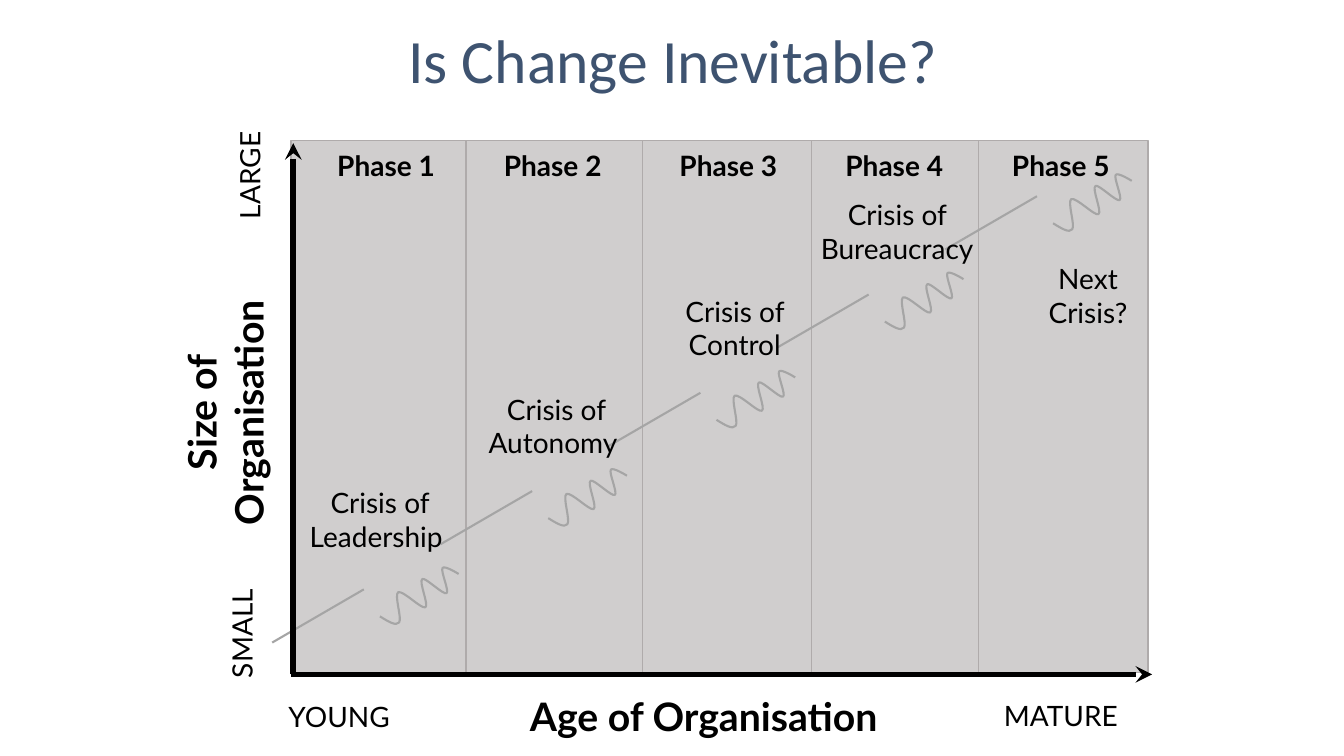
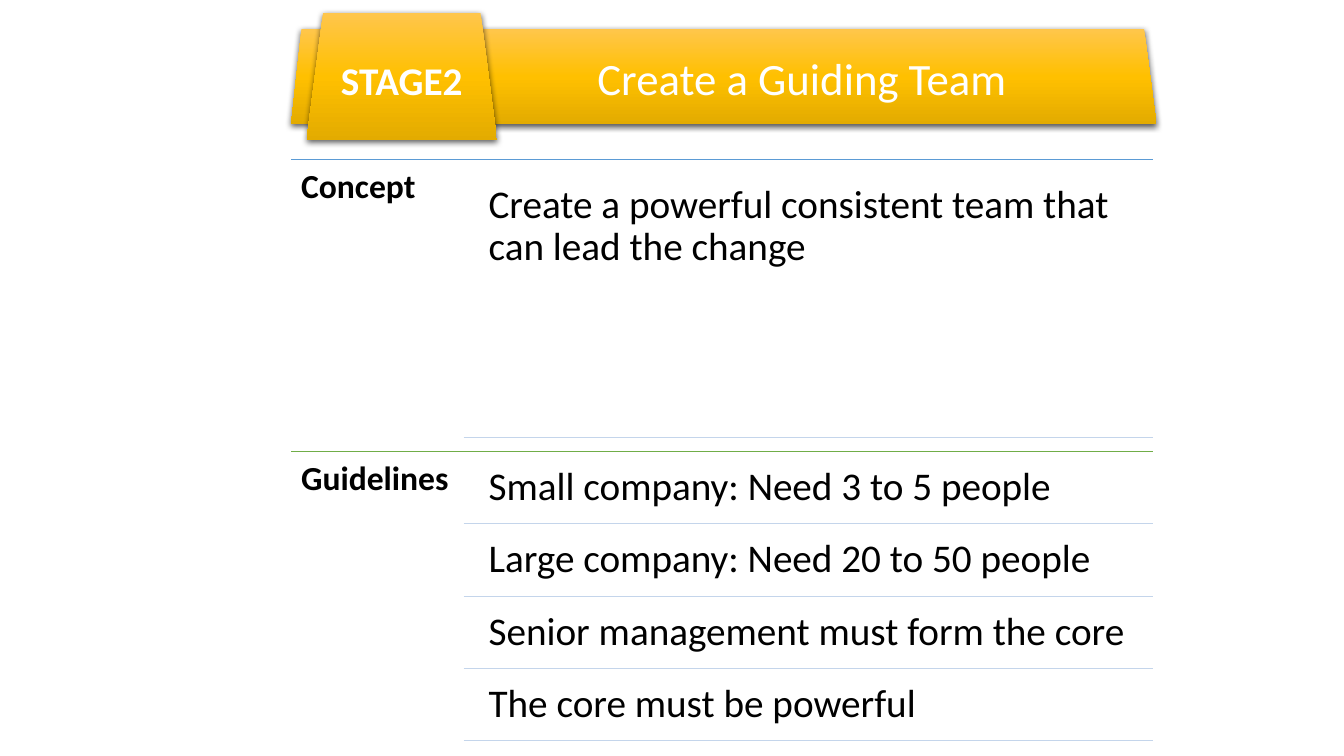
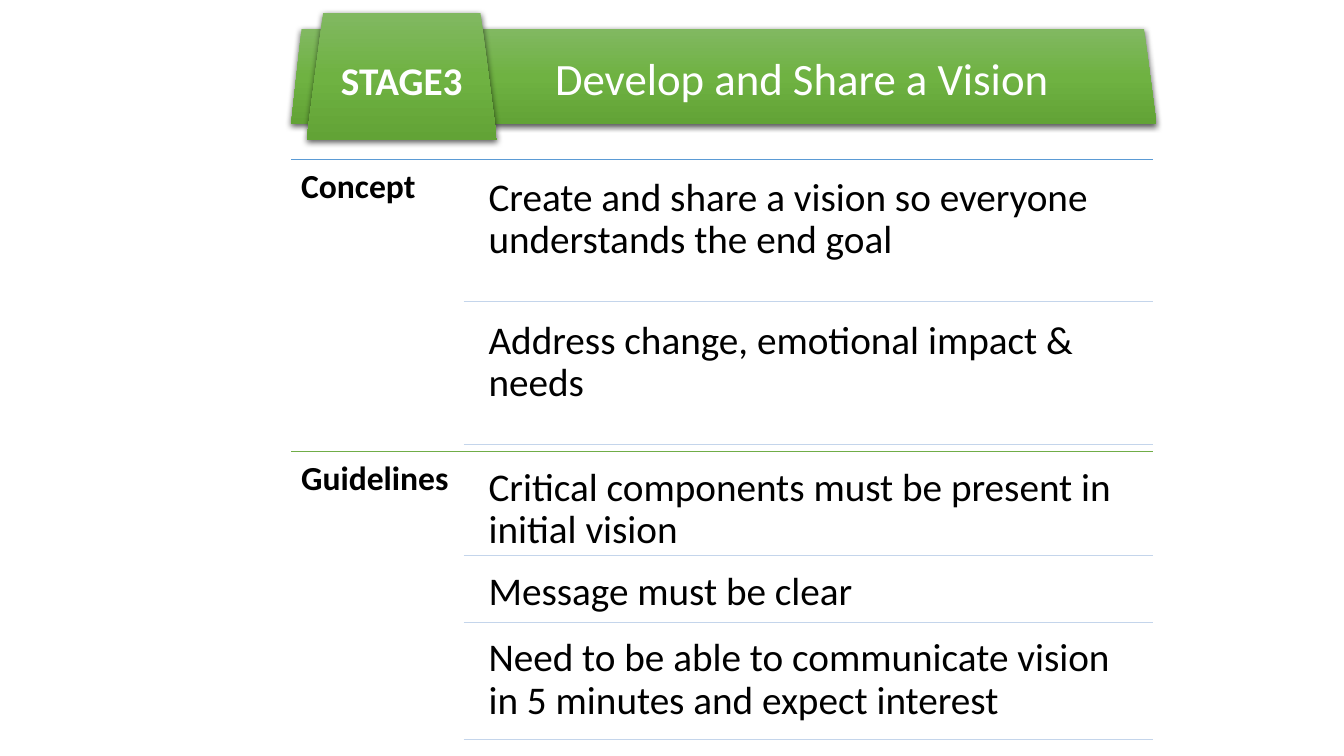
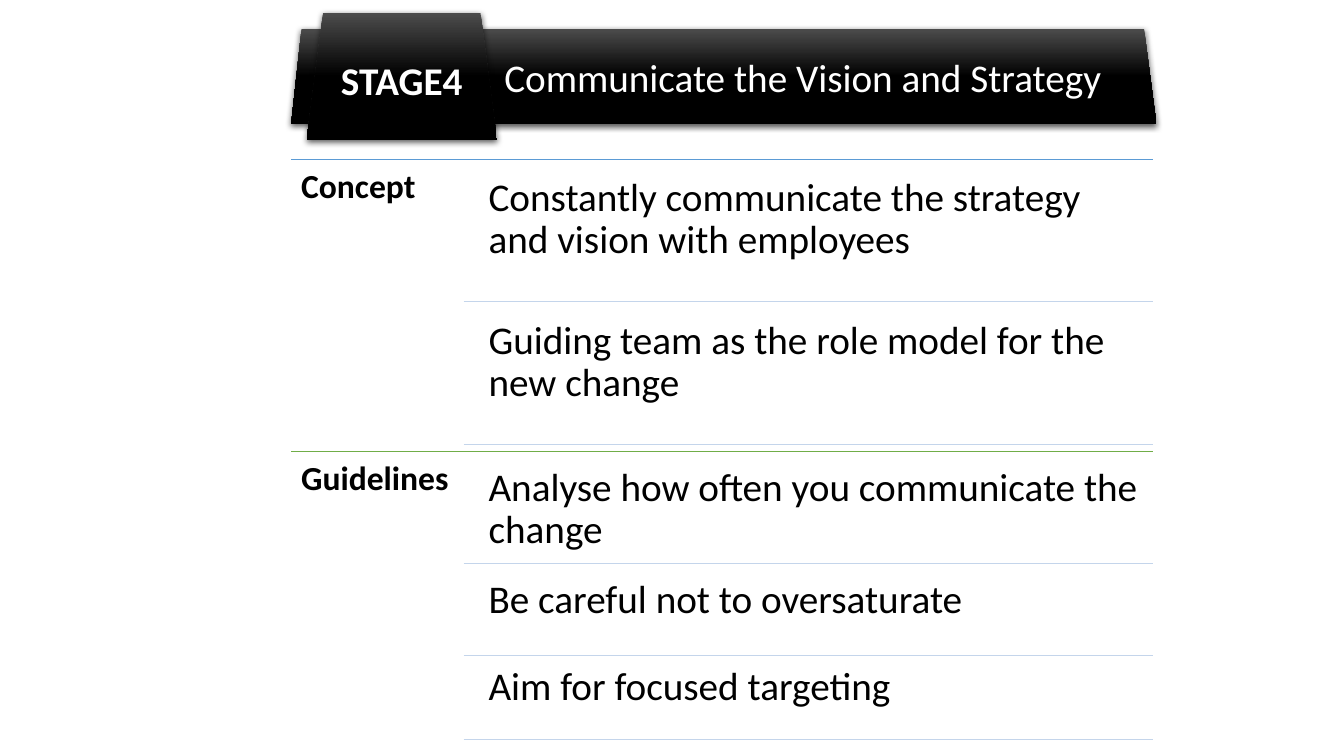
from dataclasses import dataclass

from pptx import Presentation
from pptx.dml.color import RGBColor
from pptx.enum.shapes import MSO_CONNECTOR, MSO_SHAPE
from pptx.enum.text import MSO_ANCHOR, PP_ALIGN
from pptx.oxml import parse_xml
from pptx.oxml.ns import nsdecls, qn
from pptx.oxml.xmlchemy import OxmlElement
from pptx.util import Pt

STRAIGHT = MSO_CONNECTOR.STRAIGHT
RECTANGLE = MSO_SHAPE.RECTANGLE
TRAPEZOID = MSO_SHAPE.TRAPEZOID
CENTER = PP_ALIGN.CENTER
LEFT = PP_ALIGN.LEFT
TOP = MSO_ANCHOR.TOP
MIDDLE = MSO_ANCHOR.MIDDLE


@dataclass(frozen=True)
class Theme:
    heading: str = "3E5370"
    ink: str = "000000"
    paper: str = "FFFFFF"
    column: str = "D0CECE"
    column_edge: str = "AFABAB"
    trend: str = "A5A5A5"
    concept_rule: str = "5B9BD5"
    guideline_rule: str = "70AD47"
    row_rule: str = "C4D5EB"
    gold: tuple = ("FFC64B", "FFC000", "E3AB00")
    green: tuple = ("81B861", "6FB242", "62A336")
    black: tuple = ("4B4B4B", "000000", "000000")
    body_font: str = "Calibri"
    diagram_font: str = "Lato"
    title_size: float = 44
    ribbon_size: float = 32
    large_size: float = 28
    label_size: float = 24
    small_size: float = 20


THEME = Theme()

COLUMN_EDGES = (208, 333, 459, 579.5, 699, 820)
PHASE_LEFTS = (225, 344, 469.5, 588, 707)
CRISES = (
    ("Crisis of Leadership ", 208, 343.5, 126.7),
    ("Crisis of Autonomy ", 334, 276.5, 126.7),
    ("Crisis of Control", 461.5, 206.6, 126.7),
    ("Crisis of Bureaucracy", 577.5, 137.5, 126.7),
    ("Next Crisis?", 732.2, 183.6, 90),
)
AXIS_LABELS = (
    ("Age of Organisation", 355, 491, 295.2, 54, 0, THEME.large_size, True),
    ("MATURE", 707, 495.4, 101.5, 54, 0, THEME.small_size, False),
    ("YOUNG", 191.5, 496, 101.5, 34.6, 0, THEME.small_size, False),
    ("LARGE", 122.4, 109.4, 111.6, 31.7, 270, THEME.small_size, False),
    ("SMALL", 118, 435.6, 111.6, 33.8, 270, THEME.small_size, False),
    ("Size of Organisation", 35.3, 277.2, 211, 35.3, 270, THEME.large_size, True),
)
TREND_START = (194.4, 459)
TREND_STEP = (120.2, -70.2)
TREND_RISE = (65.5, -38)
WAVE = (
    (77, -18.7),
    (82.8, -15.1), (88.6, -11.5), (90.7, -14.4),
    (92.9, -17.3), (87.1, -33.8), (90, -36),
    (93.6, -37.4), (106.6, -23.8), (109.4, -25.2),
    (112.3, -26.6), (104.4, -43.9), (107.3, -45.4),
    (109.4, -46.8), (122.4, -33.8), (124.6, -35.3),
    (126.7, -36.7), (120.2, -51.1), (121.7, -53.3),
    (123.1, -55.4), (133.2, -49), (133.2, -49),
)

SECTIONS = (
    ("Concept", 113.8, THEME.concept_rule),
    ("Guidelines", 322.6, THEME.guideline_rule),
)
STAGES = (
    ("STAGE2", "Create a Guiding Team ", THEME.ribbon_size, THEME.gold, (
        (("Create a powerful consistent team that can lead the change", 9.4, 189.4),),
        (
            ("Small company: Need 3 to 5 people", 2.4, 49.2),
            ("Large company: Need 20 to 50 people", 2.4, 49.2),
            ("Senior management must form the core", 2.4, 49.2),
            ("The core must be powerful", 2.4, 49.2),
        ),
    )),
    ("STAGE3", "Develop and Share a Vision ", THEME.ribbon_size, THEME.green, (
        (
            ("Create and share a vision so everyone understands the end goal", 4.8, 97),
            ("Address change, emotional impact & needs", 4.8, 97),
        ),
        (
            ("Critical components must be present in initial vision", 2.9, 71.3),
            ("Message must be clear", 2.9, 44.6),
            ("Need to be able to communicate vision in 5 minutes and expect interest",
             2.9, 80.6),
        ),
    )),
    ("STAGE4", "Communicate the Vision and Strategy ", THEME.large_size, THEME.black, (
        (
            ("Constantly communicate the strategy and vision with employees", 4.8, 97),
            ("Guiding team as the role model for the new change", 4.8, 97),
        ),
        (
            ("Analyse how often you communicate the change", 2.9, 77),
            ("Be careful not to oversaturate", 2.9, 62.6),
            ("Aim for focused targeting", 0, 59.8),
        ),
    )),
)


class Builder:
    def __init__(self, theme):
        self.theme = theme
        self.deck = Presentation()
        self.deck.slide_width, self.deck.slide_height = Pt(960), Pt(540)
        self.page = None

    def new_page(self):
        self.page = self.deck.slides.add_slide(self.deck.slide_layouts[6])

    def set_text(self, box, text, size, color, font, bold=False, align=CENTER,
                 anchor=TOP, spacing=1.0, inset=None):
        frame = box.text_frame
        frame_format = {"word_wrap": True, "vertical_anchor": anchor}
        if inset is not None:
            for side in ("left", "top", "right", "bottom"):
                frame_format[f"margin_{side}"] = Pt(inset)
        para = frame.paragraphs[0]
        span = para.add_run()
        span.text = text
        span.font.color.rgb = RGBColor.from_string(color)
        formats = (
            (frame, frame_format),
            (para, {"alignment": align, "line_spacing": spacing}),
            (span.font, {"name": font, "size": Pt(size), "bold": bold}),
        )
        for target, values in formats:
            for name, value in values.items():
                setattr(target, name, value)

    def text(self, text, left, top, width, height, size, rotation=0,
             color=None, font=None, **style):
        box = self.page.shapes.add_textbox(Pt(left), Pt(top), Pt(width), Pt(height))
        box.rotation = rotation
        self.set_text(box, text, size, color or self.theme.ink,
                      font or self.theme.diagram_font, **style)

    def stroke(self, shape, color, width):
        shape.line.color.rgb = RGBColor.from_string(color)
        shape.line.width = Pt(width)

    def line(self, start, end, color, width, arrow=False):
        line = self.page.shapes.add_connector(
            STRAIGHT, Pt(start[0]), Pt(start[1]), Pt(end[0]), Pt(end[1]))
        self.stroke(line, color, width)
        if arrow:
            tip = OxmlElement("a:tailEnd")
            tip.set("type", "stealth")
            line.line._get_or_add_ln().append(tip)
        line._element.spPr.append(OxmlElement("a:effectLst"))

    def column(self, left, right, top, height):
        column = self.page.shapes.add_shape(
            RECTANGLE, Pt(left), Pt(top), Pt(right - left), Pt(height))
        column.shadow.inherit = False
        column.fill.solid()
        column.fill.fore_color.rgb = RGBColor.from_string(self.theme.column)
        self.stroke(column, self.theme.column_edge, 1)

    def wave(self, points):
        corners = [(Pt(x), Pt(y)) for x, y in points]
        outline = self.page.shapes.build_freeform(*corners[0])
        outline.add_line_segments(corners[1:], close=False)
        wave = outline.convert_to_shape()
        wave.shadow.inherit = False
        wave.fill.background()
        self.stroke(wave, self.theme.trend, 1.5)
        segments = list(wave._element.iter(qn("a:lnTo")))
        for first in range(0, len(segments), 3):
            curve = OxmlElement("a:cubicBezTo")
            segments[first].addprevious(curve)
            for segment in segments[first:first + 3]:
                curve.append(segment[0])
                segment.getparent().remove(segment)

    def ribbon(self, left, top, width, height, shades, text=None, size=None, bold=False):
        ribbon = self.page.shapes.add_shape(
            TRAPEZOID, Pt(left), Pt(top), Pt(width), Pt(height))
        ribbon.adjustments[0] = 0.13
        stops = "".join(
            f'<a:gs pos="{index * 50000}"><a:srgbClr val="{shade}"/></a:gs>'
            for index, shade in enumerate(shades))
        properties = ribbon._element.spPr
        properties.append(parse_xml(
            f'<a:gradFill {nsdecls("a")} rotWithShape="1"><a:gsLst>{stops}</a:gsLst>'
            '<a:lin ang="5400000" scaled="0"/></a:gradFill>'))
        ribbon.line.fill.background()
        properties.append(parse_xml(
            f'<a:effectLst {nsdecls("a")}><a:outerShdw blurRad="{Pt(4.5)}" '
            f'dist="{Pt(1.5)}" dir="5400000" algn="ctr" rotWithShape="0">'
            '<a:srgbClr val="000000"><a:alpha val="63000"/></a:srgbClr>'
            '</a:outerShdw></a:effectLst>'))
        if text:
            self.set_text(ribbon, text, size, self.theme.paper, self.theme.body_font,
                          bold=bold, anchor=MIDDLE)

    def section(self, label, top, color, rows):
        theme = self.theme
        style = {"font": theme.body_font, "align": LEFT, "spacing": 0.9}
        self.line((208, top), (823.7, top), color, 0.5)
        self.text(label, 208, top, 123, 208, theme.label_size, bold=True,
                  inset=7.2, **style)
        bottom = top
        for text, gap, height in rows:
            row_top = bottom + gap
            bottom = row_top + height
            self.text(text, 340.6, row_top, 483, height, theme.large_size,
                      inset=8.4, **style)
            self.line((331.2, bottom), (823.7, bottom), theme.row_rule, 0.5)

    def growth_page(self):
        theme = self.theme
        self.new_page()
        for left, right in zip(COLUMN_EDGES, COLUMN_EDGES[1:]):
            self.column(left, right, 100.2, 380)
        self.text("Is Change Inevitable?", 122.4, 15, 717, 61, theme.title_size,
                  color=theme.heading, font=theme.body_font, anchor=MIDDLE, spacing=0.9)
        for index in range(len(CRISES)):
            x, y = (start + index * step for start, step in zip(TREND_START, TREND_STEP))
            self.line((x, y), (x + TREND_RISE[0], y + TREND_RISE[1]), theme.trend, 1.5)
            self.wave([(x + across, y + down) for across, down in WAVE])
        self.line((208, 481.7), (823, 481.7), theme.ink, 4, arrow=True)
        self.line((209.5, 481.7), (209.5, 102.2), theme.ink, 4, arrow=True)
        for text, left, top, width, height, rotation, size, bold in AXIS_LABELS:
            self.text(text, left, top, width, height, size, rotation, bold=bold)
        for number, left in enumerate(PHASE_LEFTS, 1):
            self.text(f"Phase {number}", left, 102.2, 101.5, 34.6,
                      theme.small_size, bold=True)
        for text, left, top, width in CRISES:
            self.text(text, left, top, width, 66, theme.small_size)

    def stage_page(self, stage, heading, heading_size, shades, section_rows):
        self.new_page()
        self.ribbon(208, 20.9, 56.9, 67.7, shades)
        for (label, top, color), rows in zip(SECTIONS, section_rows):
            self.section(label, top, color, rows)
        self.ribbon(327, 20.9, 499, 67.7, shades, heading, heading_size)
        self.ribbon(219, 9.4, 136, 90.7, shades, stage, self.theme.large_size, bold=True)


def main():
    builder = Builder(THEME)
    builder.growth_page()
    for stage in STAGES:
        builder.stage_page(*stage)
    builder.deck.save("out.pptx")


if __name__ == "__main__":
    main()
